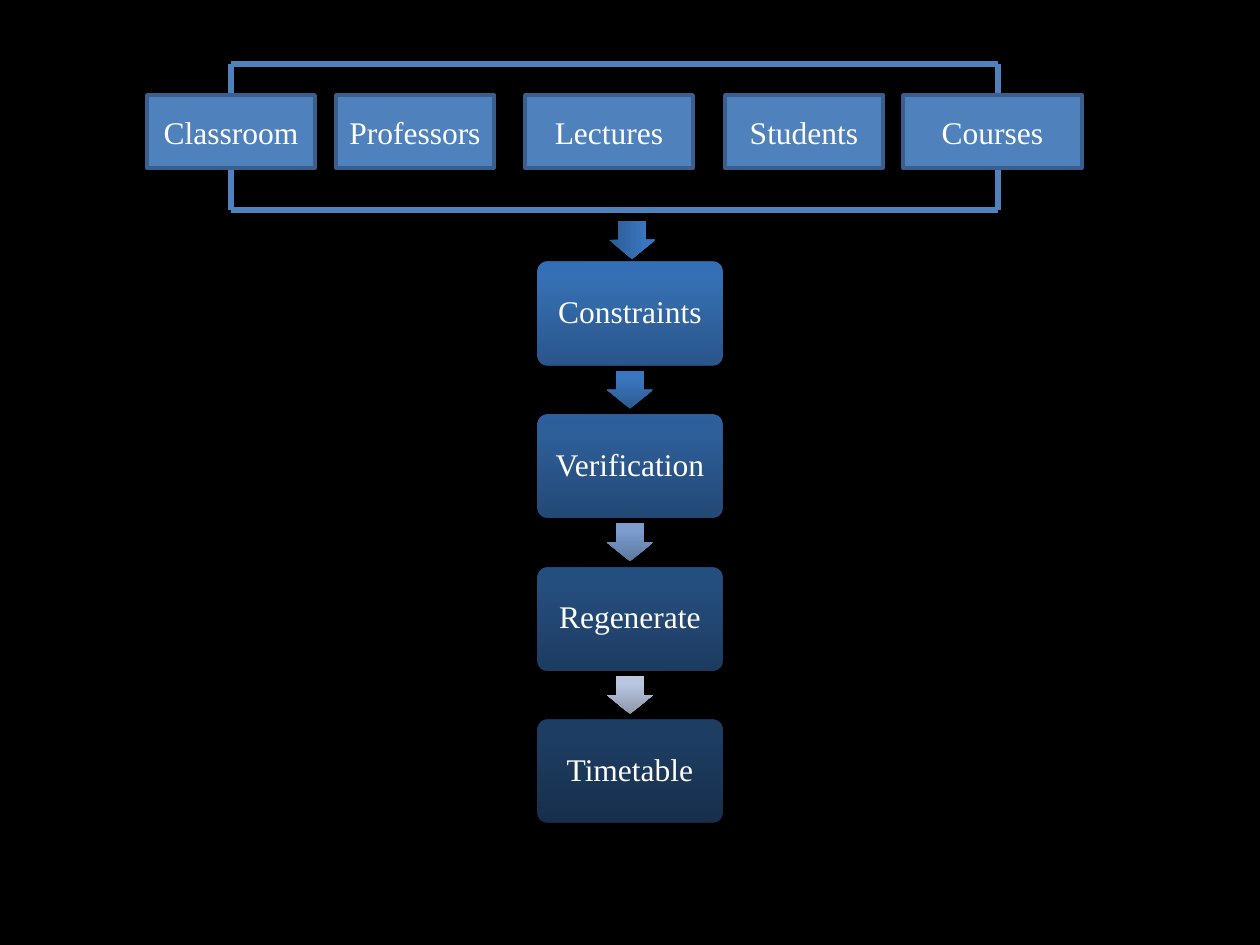
from dataclasses import dataclass

from lxml.etree import SubElement
from pptx import Presentation
from pptx.dml.color import RGBColor
from pptx.enum.shapes import MSO_CONNECTOR as CONN, MSO_SHAPE as SHAPE
from pptx.enum.text import MSO_ANCHOR as ANCHOR, PP_ALIGN as ALIGN
from pptx.oxml.ns import qn
from pptx.util import Emu, Pt

SCALE = 914400 // 126


@dataclass(frozen=True)
class Theme:
    back: str = "000000"
    text: str = "FFFFFF"
    accent: str = "4F81BD"
    edge: str = "3A5F8C"
    card: tuple = ("2F5F99", "3D7CC7", "3A7CCB")
    entry_arrow: tuple = ("2C5B93", "3976BF", "3776C2")
    arrows: tuple = (
        ("2D5B92", "3A76BE", "3876C2"),
        ("5E789E", "7B9CCD", "7A9CCF"),
        ("8E98AC", "B8C6DF", "B8C6E1"),
    )
    font: str = "Times New Roman"
    size: int = 18
    edge_width: int = 2
    line_width: int = 3


THEME = Theme()


def px(n):
    return Emu(round(n * SCALE))


def rgb(code):
    return RGBColor.from_string(code)


def add_box(slide, kind, x, y, w, h):
    sp = slide.shapes.add_shape(kind, px(x), px(y), px(w), px(h))
    sp.shadow.inherit = False
    sp.line.fill.background()
    return sp


def fill_gradient(sp, colors, angle, alpha=100):
    sp.fill.gradient()
    grad = sp._element.spPr.find(qn("a:gradFill"))
    stops = grad.find(qn("a:gsLst"))
    for stop in list(stops):
        stops.remove(stop)
    for pos, code in zip((0, 80, 100), colors):
        stop = SubElement(stops, qn("a:gs"), pos=str(pos * 1000))
        color = SubElement(stop, qn("a:srgbClr"), val=code)
        if alpha < 100:
            SubElement(color, qn("a:alpha"), val=str(alpha * 1000))
    grad.find(qn("a:lin")).set("ang", str(angle * 60000))


def add_label(sp, text, inset, spacing=1.0):
    tf = sp.text_frame
    tf.word_wrap = True
    tf.vertical_anchor = ANCHOR.MIDDLE
    tf.margin_left = tf.margin_right = px(inset)
    p = tf.paragraphs[0]
    p.alignment = ALIGN.CENTER
    p.line_spacing = spacing
    r = p.add_run()
    r.text = text
    r.font.name = THEME.font
    r.font.size = Pt(THEME.size)
    r.font.color.rgb = rgb(THEME.text)


def add_arrow(slide, cx, cy, colors, angle):
    length, breadth = 38, 46
    sp = add_box(slide, SHAPE.RIGHT_ARROW, cx - length / 2, cy - breadth / 2,
                 length, breadth)
    sp.adjustments[0], sp.adjustments[1] = 0.6, 0.5
    sp.rotation = 90
    fill_gradient(sp, colors, angle)


def add_line(slide, x1, y1, x2, y2):
    line = slide.shapes.add_connector(CONN.STRAIGHT, px(x1), px(y1), px(x2), px(y2))
    line.line.color.rgb = rgb(THEME.accent)
    line.line.width = Pt(THEME.line_width)
    SubElement(line._element.spPr, qn("a:effectLst"))


def add_inputs(slide, x, y, w, h, items):
    rail_top, rail_bottom = y - 31, y + h + 42
    left, right = x + 84, x + w - 84
    for rail, side in ((rail_top, y), (rail_bottom, y + h)):
        add_line(slide, left, rail, right, rail)
        for end in (left, right):
            add_line(slide, end, rail, end, side)
    for text, offset, width in items:
        sp = add_box(slide, SHAPE.RECTANGLE, x + offset, y, width, h)
        sp.fill.solid()
        sp.fill.fore_color.rgb = rgb(THEME.accent)
        sp.line.color.rgb = rgb(THEME.edge)
        sp.line.width = Pt(THEME.edge_width)
        add_label(sp, text, 12)


def add_steps(slide, x, y, w, h, steps):
    card_h = 103
    gap = (h - card_h * len(steps)) / (len(steps) - 1)
    for i, (text, alpha) in enumerate(steps):
        top = y + i * (card_h + gap)
        sp = add_box(slide, SHAPE.ROUNDED_RECTANGLE, x, top, w, card_h)
        sp.adjustments[0] = 0.1
        fill_gradient(sp, THEME.card, 270, alpha)
        add_label(sp, text, 10, 0.9)
        if i < len(steps) - 1:
            add_arrow(slide, x + w / 2, top + card_h + gap / 2, THEME.arrows[i], 180)


prs = Presentation()
prs.slide_width, prs.slide_height = px(1260), px(945)
slide = prs.slides.add_slide(prs.slide_layouts[6])
slide.background.fill.solid()
slide.background.fill.fore_color.rgb = rgb(THEME.back)

add_inputs(slide, 147, 95, 935, 73, (
    ("Classroom", 0, 168),
    ("Professors", 189, 158),
    ("Lectures", 378, 168),
    ("Students", 578, 158),
    ("Courses", 756, 179),
))
add_arrow(slide, 632, 240, THEME.entry_arrow, 270)
add_steps(slide, 538, 262, 184, 561, (
    ("Constraints", 90),
    ("Verification", 77),
    ("Regenerate", 63),
    ("Timetable", 50),
))

prs.save("out.pptx")
